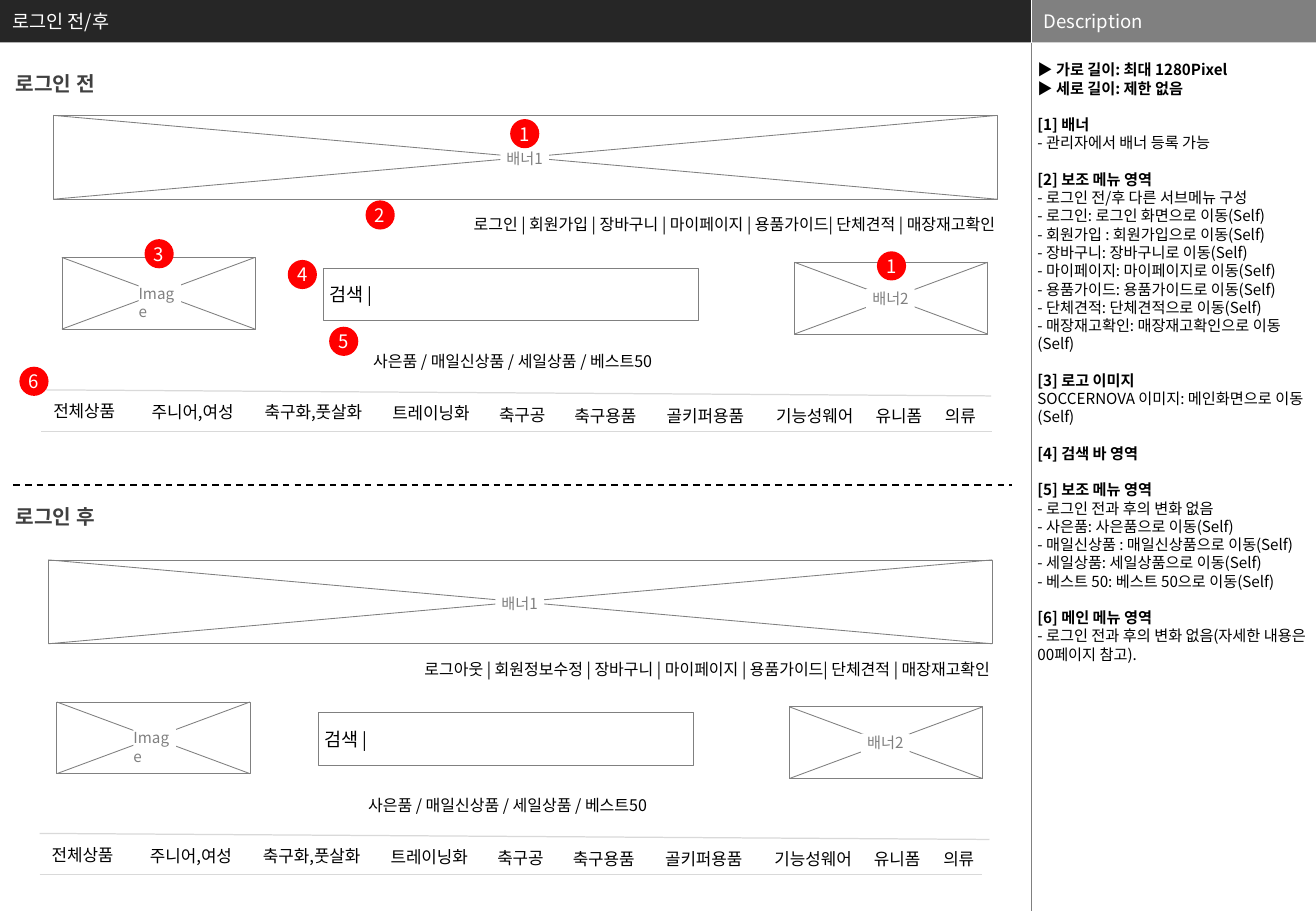
from lxml.etree import SubElement
from pptx import Presentation
from pptx.dml.color import RGBColor
from pptx.enum.dml import MSO_LINE
from pptx.enum.shapes import MSO_CONNECTOR, MSO_SHAPE as SHAPE
from pptx.enum.text import MSO_ANCHOR as ANCHOR, MSO_AUTO_SIZE, PP_ALIGN as ALIGN
from pptx.oxml.ns import qn
from pptx.util import Pt

FONT = "Noto Sans CJK KR"
COLORS = {
    "white": "FFFFFF", "black": "000000", "header": "262626", "gray": "808080",
    "heading": "404040", "rule": "D9D9D9", "badge": "FF0000",
}

deck = Presentation()
deck.slide_width, deck.slide_height = Pt(780), Pt(540)
page = deck.slides.add_slide(deck.slide_layouts[1])


def add_box(frame, text="", size=9, color="black", kind=None, holder=None, fill=None, line=None,
            align=ALIGN.LEFT, bold=False, anchor=ANCHOR.TOP, margins=(7.2, 3.6), wrap=True, spacing=1):
    """Place a text box, a preset shape or a placeholder; text may be a list of paragraphs."""
    lengths = [Pt(value) for value in frame]
    if holder is not None:
        box = holder
        box.left, box.top, box.width, box.height = lengths
    elif kind is not None:
        box = page.shapes.add_shape(kind, *lengths)
    else:
        box = page.shapes.add_textbox(*lengths)
    box.shadow.inherit = False
    if fill:
        box.fill.solid()
        box.fill.fore_color.rgb = RGBColor.from_string(COLORS[fill])
    else:
        box.fill.background()
    if line:
        box.line.color.rgb = RGBColor.from_string(COLORS[line])
        box.line.width = Pt(0.5)
    else:
        box.line.fill.background()
    frame_text = box.text_frame
    frame_text.auto_size = MSO_AUTO_SIZE.NONE
    frame_text.word_wrap = wrap
    frame_text.vertical_anchor = anchor
    frame_text.margin_left = frame_text.margin_right = Pt(margins[0])
    frame_text.margin_top = frame_text.margin_bottom = Pt(margins[1])
    frame_text.text = text if isinstance(text, str) else "\n".join(text)
    for para in frame_text.paragraphs:
        para.alignment = align
        para.line_spacing = spacing
        para.space_before = Pt(0)
        properties = para._p.get_or_add_pPr()
        if holder is not None:
            properties.set("marL", "0")
            properties.set("indent", "0")
            SubElement(properties, qn("a:buNone"))
        para.font.name = FONT
        para.font.size = Pt(size)
        para.font.bold = bold
        para.font.color.rgb = RGBColor.from_string(COLORS[color])
        SubElement(properties.find(qn("a:defRPr")), qn("a:ea"), typeface=FONT)
    return box


def add_line(x1, y1, x2, y2, color, width):
    rule = page.shapes.add_connector(MSO_CONNECTOR.STRAIGHT, Pt(x1), Pt(y1), Pt(x2), Pt(y2))
    rule.line.color.rgb = RGBColor.from_string(COLORS[color])
    rule.line.width = Pt(width)
    SubElement(rule._element.spPr, qn("a:effectLst"))
    return rule


# Header bars and column divider
add_box((0, 0, 611.3, 25.2), "로그인 전/후", 11, "white", holder=page.shapes.title,
        fill="header", anchor=ANCHOR.MIDDLE)
add_box((611.3, 0, 168.7, 25.2), "Description", 11, "white", fill="gray", anchor=ANCHOR.MIDDLE)
add_line(611.3, 0, 611.3, 25.2, "white", 0.25)
add_line(611.3, 25.2, 611.3, 540, "gray", 0.25)

# Description column
sections = [
    ["▶ 가로 길이: 최대 1280Pixel", "▶ 세로 길이: 제한 없음"],
    ["[1] 배너", "- 관리자에서 배너 등록 가능"],
    ["[2] 보조 메뉴 영역", "- 로그인 전/후 다른 서브메뉴 구성", "- 로그인: 로그인 화면으로 이동(Self)",
     "- 회원가입 : 회원가입으로 이동(Self)", "- 장바구니: 장바구니로 이동(Self)",
     "- 마이페이지: 마이페이지로 이동(Self)", "- 용품가이드: 용품가이드로 이동(Self)",
     "- 단체견적: 단체견적으로 이동(Self)", "- 매장재고확인: 매장재고확인으로 이동(Self)"],
    ["[3] 로고 이미지", "SOCCERNOVA 이미지: 메인화면으로 이동(Self)"],
    ["[4] 검색 바 영역"],
    ["[5] 보조 메뉴 영역", "- 로그인 전과 후의 변화 없음", "- 사은품: 사은품으로 이동(Self)",
     "- 매일신상품 : 매일신상품으로 이동(Self)", "- 세일상품: 세일상품으로 이동(Self)",
     "- 베스트 50: 베스트 50으로 이동(Self)"],
    ["[6] 메인 메뉴 영역", "- 로그인 전과 후의 변화 없음(자세한 내용은 00페이지 참고)."],
]
description = add_box((612, 36, 168, 504), sum(sections, []), holder=page.placeholders[1], margins=(2.9, 0))
paragraphs = iter(description.text_frame.paragraphs)
for number, section in enumerate(sections):
    for row, sentence in enumerate(section):
        para = next(paragraphs)
        para.font.bold = sentence[0] in "[▶"
        if number and row == 0:
            para.space_before = Pt(10.8)

# Wireframes before and after login
panels = [
    ("로그인 전", 39, 0, 0, "로그인 | 회원가입", 24.5, 588.2),
    ("로그인 후", 295.2, -3, 263.5, "로그아웃 | 회원정보수정", 23.5, 581.8),
]
placeholders = [
    ("배너1", (31.7, 68.4, 559.4, 49.7), (296.6, 88.6, 28.8, 21.6), ALIGN.CENTER, 2.9),
    ("배너2", (470.9, 155.5, 114.5, 42.5), (513.4, 171.4, 28.8, 21.6), ALIGN.CENTER, 2.9),
    ("Image", (36.7, 152.6, 114.5, 42.5), (82.1, 168.5, 25.2, 21.6), ALIGN.LEFT, 0),
]
menu = [
    ("전체상품", 0, 234), ("주니어,여성", 58.3, 234.7), ("축구화,풋살화", 125.3, 234.7),
    ("트레이닝화", 200.9, 235.4), ("축구공", 264.2, 236.2), ("축구용품", 308.9, 236.9),
    ("골키퍼용품", 363.6, 236.9), ("기능성웨어", 428.4, 236.9), ("유니폼", 487.4, 236.9),
    ("의류", 528.5, 236.9),
]
for heading, heading_top, dx, dy, account_links, menu_left, rule_end in panels:
    add_box((-0.7, heading_top, 67, 21.6), heading, 12, "heading", bold=True, align=ALIGN.CENTER, wrap=False)

    # Crossed boxes for banners and logo
    for label, (x, y, w, h), (label_x, label_y, label_w, label_h), align, margin in placeholders:
        x, y = x + dx, y + dy
        add_box((x, y, w, h), kind=SHAPE.RECTANGLE, fill="white", line="gray")
        add_line(x, y + h, x + w, y, "gray", 0.5)
        add_line(x, y, x + w, y + h, "gray", 0.5)
        add_box((label_x + dx, label_y + dy, label_w, label_h), label, 9, "gray",
                kind=SHAPE.RECTANGLE, fill="white", align=align, margins=(margin, 0))

    # Link rows and search bar
    add_box((195 + dx, 118.1 + dy, 401.9, 24.5),
            account_links + " | 장바구니 | 마이페이지 | 용품가이드| 단체견적 | 매장재고확인",
            9.5, align=ALIGN.RIGHT, spacing=1.5)
    search = add_box((191.5 + dx, 159.1 + dy, 222.5, 31), "검색", 11, kind=SHAPE.RECTANGLE,
                     line="gray", anchor=ANCHOR.MIDDLE, margins=(3.6, 3.6))
    cursor = search.text_frame.paragraphs[0].add_run()
    cursor.text = " |"
    cursor.font.size = Pt(10.5)
    add_box((198 + dx, 198.9 + dy, 211.7, 24.5), "사은품 / 매일신상품 / 세일상품 / 베스트50",
            9.5, align=ALIGN.CENTER, spacing=1.5)

    # Main menu
    menu_dy = dy and 262.9
    add_line(menu_left, 231.1 + menu_dy, menu_left + 563, 234.7 + menu_dy, "rule", 0.75)
    add_line(menu_left, 255.6 + menu_dy, rule_end, 255.6 + menu_dy, "rule", 0.75)
    for item, x, y in menu:
        width = 14.5 + 10 * len(item) - 7.5 * item.count(",")
        add_box((menu_left + x, y + menu_dy, width, 19.4), item, 10, wrap=item == "주니어,여성")

# Divider between the two states
add_line(7.9, 287.3, 599.8, 287.3, "black", 1).line.dash_style = MSO_LINE.DASH

# Numbered badges
badges = [("1", 302.4, 70.6), ("1", 519.8, 149), ("2", 216.7, 118.8), ("3", 85.7, 141.8),
          ("4", 170.6, 154.1), ("5", 195.1, 193.7), ("6", 11.5, 217.4)]
for number, x, y in badges:
    add_box((x, y, 17.3, 17.3), number, 11, "white", kind=SHAPE.OVAL, fill="badge",
            align=ALIGN.CENTER, anchor=ANCHOR.MIDDLE, margins=(0, 0), wrap=False)

deck.save("out.pptx")
